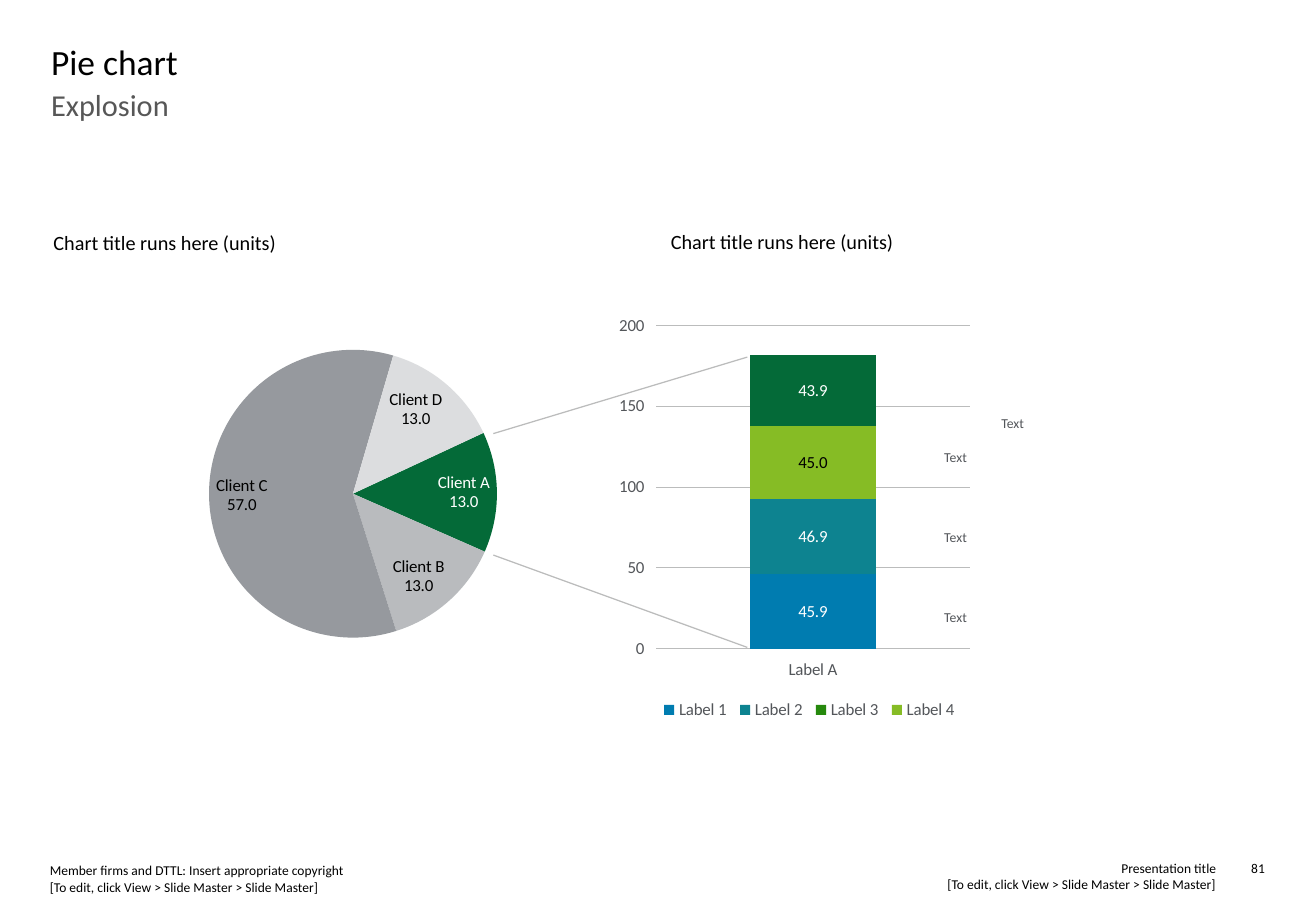
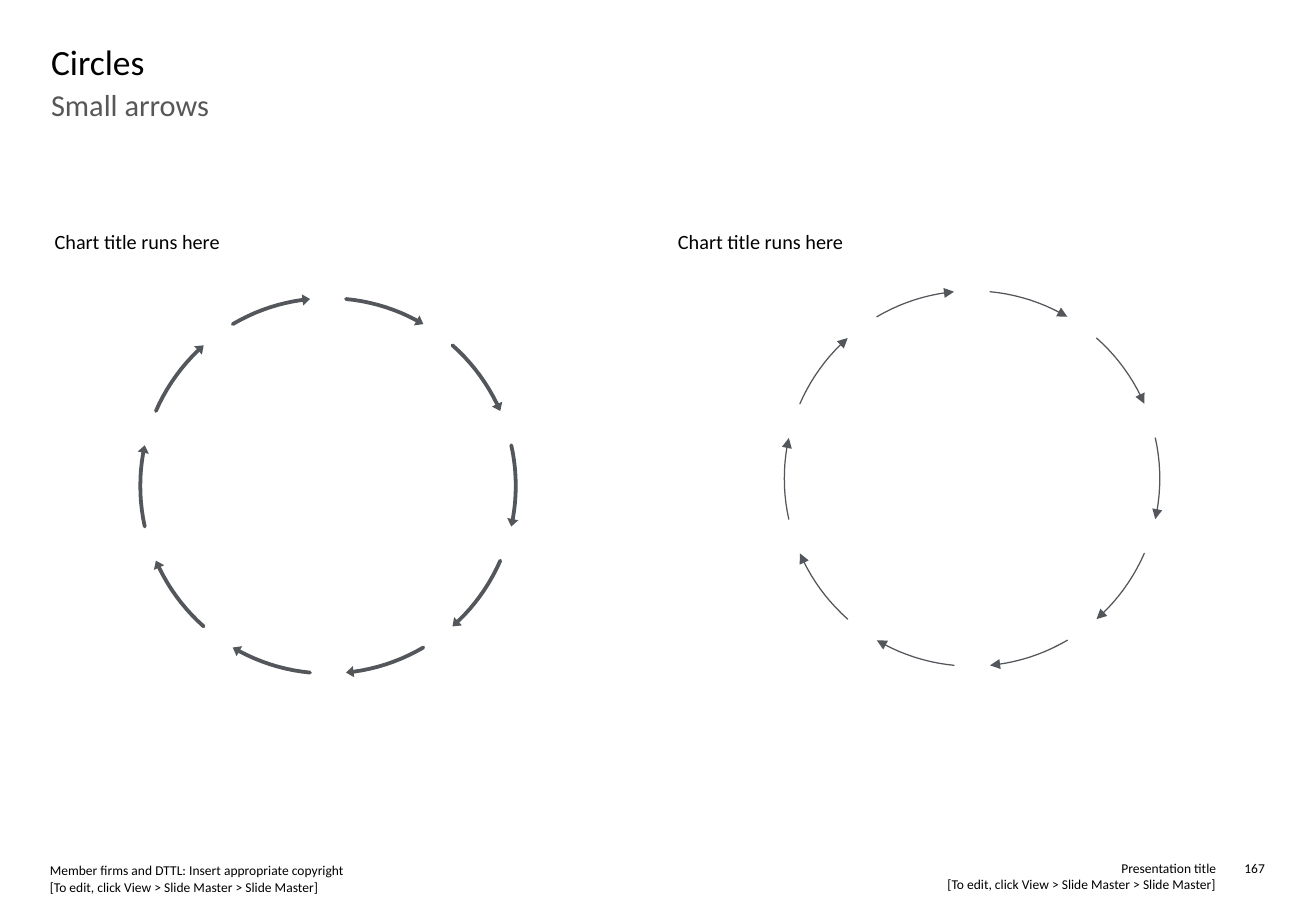
from math import cos, radians, sin

from lxml import etree
from pptx import Presentation
from pptx.chart.data import CategoryChartData
from pptx.dml.color import RGBColor
from pptx.enum.chart import XL_CHART_TYPE as ChartType, XL_LABEL_POSITION as LabelPos
from pptx.enum.chart import XL_LEGEND_POSITION as LegendPos, XL_TICK_MARK as Tick
from pptx.enum.chart import XL_TICK_LABEL_POSITION as TickLabelPos
from pptx.enum.shapes import MSO_CONNECTOR
from pptx.enum.text import MSO_ANCHOR as Anchor, MSO_AUTO_SIZE as AutoSize, PP_ALIGN as Align
from pptx.oxml.ns import qn
from pptx.util import Emu, Pt

PX = 9144  # EMU per px, 100 px to the inch
FONT = "Calibri"
NUMBER = "#,##0.0"
COLORS = {
    "black": "000000", "white": "FFFFFF", "subtitle": "575757",
    "slate": "53565A", "rule": "BBBCBC",
    "blue": "007CB0", "teal": "0D8390", "green": "26890D",
    "lime": "86BC25", "forest": "046A38",
    "gray_mid": "B9BBBE", "gray_dark": "96999E", "gray_light": "DCDDDF",
}

EDIT_HINT = "[To edit, click View > Slide Master > Slide Master]"
FOOTERS = [  # lines, box, alignment
    (["Presentation title", EDIT_HINT], (566, 708, 435, 27), Align.RIGHT),
    (["Member firms and DTTL: Insert appropriate copyright", EDIT_HINT],
     (41, 710, 476, 27), Align.LEFT),
]
NUMBER_BOX = (1004, 708, 37, 13)
TITLE_BOX = (42, 33, 1002, 38)
SUBTITLE_BOX = (42, 71, 1002, 83)

# Plot and legend boxes are measured from the corner of their chart.
PIE_BOX = (44, 259, 488, 342)
PIE_PLOT = (81, 29, 331, 237)
PIE_START = 65
PIE = [  # category, value, fill, label colour
    ("Client A", 13, "forest", "white"),
    ("Client B", 13, "gray_mid", "black"),
    ("Client C", 57, "gray_dark", "black"),
    ("Client D", 13, "gray_light", "black"),
]

STACK_BOX = (459, 252, 504, 359)
STACK_PLOT = (81, 16, 258, 266)
STACK_LEGEND = (81, 320, 252, 25)
STACK_CATEGORY = "Label A"
STACK = [  # series, value, legend colour, bar colour, label colour
    ("Label 1", 45.9, "blue", "blue", "white"),
    ("Label 2", 46.9, "teal", "teal", "white"),
    ("Label 3", 45, "green", "lime", "black"),
    ("Label 4", 43.9, "lime", "forest", "white"),
]
SIDE_LABELS = [(824, 341), (777, 369), (777, 435), (777, 501)]
EXPLOSION_LINES = [(406, 357, 615, 294), (406, 457, 615, 533)]

PIE_HEADINGS = [("Chart title runs here (units)", (552, 189, 488, 32)),
                ("Chart title runs here (units)", (44, 190, 288, 34))]
RING_HEADINGS = [("Chart title runs here", (558, 189, 356, 37)),
                 ("Chart title runs here", (45, 189, 483, 37))]
RINGS = [  # centre x, centre y, line width, arrowhead length
    (270, 400, 2.25, "sm"),
    (800, 394, 0.75, "med"),
]
RING_RADIUS = 154.5
RING_ARROWS = 10
ARROW_SWEEP = 25  # degrees
ARROW_STEPS = 10


def rgb(name):
    return RGBColor.from_string(COLORS[name])


def px(*values):
    return [Emu(v * PX) for v in values]


def style_font(font, size, color):
    font.name, font.size, font.bold = FONT, Pt(size), False
    font.color.rgb = rgb(color)


def style_line(line, color, width):
    line.color.rgb = rgb(color)
    line.width = Pt(width)


def fill_text(shape, text, size, color, align=Align.LEFT, anchor=Anchor.TOP):
    """Put one unspaced, inset-free paragraph into a shape."""
    tf = shape.text_frame
    tf.text = text
    tf.word_wrap = True
    tf.auto_size = AutoSize.NONE
    tf.vertical_anchor = anchor
    tf.margin_left = tf.margin_right = tf.margin_top = tf.margin_bottom = 0
    p = tf.paragraphs[0]
    p.alignment = align
    p.space_before = Pt(0)
    for r in p.runs:
        style_font(r.font, size, color)
    return p


def add_text(s, text, box, size, color, **options):
    fill_text(s.shapes.add_textbox(*px(*box)), text, size, color, **options)


def place(shape, box):
    shape.left, shape.top, shape.width, shape.height = px(*box)


def add_slide(prs, title, subtitle, number, headings):
    s = prs.slides.add_slide(prs.slide_layouts[1])
    for text, box, align in FOOTERS:
        add_text(s, "\v".join(text), box, 8, "black", align=align)
    add_text(s, number, NUMBER_BOX, 8, "black", align=Align.RIGHT)

    place(s.shapes.title, TITLE_BOX)
    fill_text(s.shapes.title, title, 21, "black")
    body = s.placeholders[1]
    place(body, SUBTITLE_BOX)
    pPr = fill_text(body, subtitle, 18, "subtitle")._p.get_or_add_pPr()
    pPr.set("marL", "0")
    pPr.set("indent", "0")
    etree.SubElement(pPr, qn("a:buNone"))

    for text, box in headings:
        add_text(s, text, box, 12, "black")
    return s


def set_layout(parent, index, box, chart_box, inner=False):
    """Fix the place of a plot area or legend within its chart."""
    for old in parent.findall(qn("c:layout")):
        parent.remove(old)
    layout = etree.Element(qn("c:layout"))
    manual = etree.SubElement(layout, qn("c:manualLayout"))
    width, height = chart_box[2:]
    values = [("layoutTarget", "inner")] if inner else []
    values += [("xMode", "edge"), ("yMode", "edge")]
    values += [(tag, v / full) for tag, v, full in zip("xywh", box, (width, height) * 2)]
    for tag, value in values:
        etree.SubElement(manual, qn(f"c:{tag}")).set("val", str(value))
    parent.insert(index, layout)


def add_chart(s, kind, box, plot_box, categories, series):
    data = CategoryChartData(number_format=NUMBER)
    data.categories = categories
    for name, values in series:
        data.add_series(name, values)
    chart = s.shapes.add_chart(kind, *px(*box), data).chart
    chart.has_title = chart.has_legend = False
    style_font(chart.font, 10, "slate")
    set_layout(chart._chartSpace.chart.plotArea, 0, plot_box, box, inner=True)
    return chart


def color_point(point, color):
    point.format.fill.solid()
    point.format.fill.fore_color.rgb = rgb(color)


def add_pie(s):
    names, values, fills, label_colors = zip(*PIE)
    chart = add_chart(s, ChartType.PIE, PIE_BOX, PIE_PLOT, names, [("Series 1", values)])
    plot = chart.plots[0]
    plot.vary_by_categories = True
    series = plot.series[0]
    labels = series.data_labels
    labels.show_value = labels.show_category_name = True
    labels.number_format, labels.number_format_is_linked = NUMBER, False
    labels.position = LabelPos.INSIDE_END
    style_font(labels.font, 10, "white")
    for i, (fill, label_color) in enumerate(zip(fills, label_colors)):
        color_point(series.points[i], fill)
        label = series.points[i].data_label
        style_font(label.font, 10, label_color)
        label.position = LabelPos.INSIDE_END

    ser = series._element
    for flag in ser.iter(qn("c:showCatName")):
        flag.set("val", "1")
    for flag in list(ser.iter(qn("c:showBubbleSize"))):
        separator = etree.Element(qn("c:separator"))
        separator.text = "\n"
        flag.addnext(separator)
    etree.SubElement(ser.getparent(), qn("c:firstSliceAng")).set("val", str(PIE_START))


def add_stack(s):
    chart = add_chart(s, ChartType.COLUMN_STACKED, STACK_BOX, STACK_PLOT,
                      [STACK_CATEGORY], [(row[0], [row[1]]) for row in STACK])
    plot = chart.plots[0]
    plot.vary_by_categories = False
    plot.gap_width, plot.overlap = 150, 100
    for series, (_, _, legend_color, bar_color, label_color) in zip(plot.series, STACK):
        color_point(series, legend_color)
        if bar_color != legend_color:
            color_point(series.points[0], bar_color)
        labels = series.data_labels
        labels.show_value = True
        labels.number_format, labels.number_format_is_linked = NUMBER, False
        labels.position = LabelPos.CENTER
        style_font(labels.font, 10, label_color)

    cat_axis, val_axis = chart.category_axis, chart.value_axis
    for axis in (cat_axis, val_axis):
        axis.tick_label_position = TickLabelPos.LOW
        style_font(axis.tick_labels.font, 10, "slate")
    cat_axis.major_tick_mark = Tick.NONE
    style_line(cat_axis.format.line, "rule", 0.5)
    val_axis.minimum_scale, val_axis.maximum_scale, val_axis.major_unit = 0, 200, 50
    val_axis.tick_labels.number_format = "General"
    val_axis.tick_labels.number_format_is_linked = False
    val_axis.format.line.fill.background()
    style_line(val_axis.major_gridlines.format.line, "rule", 0.5)

    chart.has_legend = True
    legend = chart.legend
    legend.position = LegendPos.BOTTOM
    legend.include_in_layout = False
    style_font(legend.font, 10, "slate")
    set_layout(legend._element, 1, STACK_LEGEND, STACK_BOX)


def add_rule(s, ends):
    line = s.shapes.add_connector(MSO_CONNECTOR.STRAIGHT, *px(*ends))
    style_line(line.line, "rule", 0.75)
    etree.SubElement(line._element.spPr, qn("a:effectLst"))


def add_ring(s, cx, cy, width, head_length):
    """Draw a clockwise circle of curved arrows, each boxed with the centre."""
    group = s.shapes.add_group_shape()
    for i in range(RING_ARROWS):
        start = (i + 0.5) * 360 / RING_ARROWS - 90 - ARROW_SWEEP / 2
        angles = [radians(start + k * ARROW_SWEEP / ARROW_STEPS)
                  for k in range(ARROW_STEPS + 1)]
        points = [px(cx + RING_RADIUS * cos(a), cy + RING_RADIUS * sin(a)) for a in angles]
        builder = group.shapes.build_freeform(*px(cx, cy))
        builder.move_to(*points[0])
        builder.add_line_segments(points[1:], close=False)
        arrow = builder.convert_to_shape()
        arrow.shadow.inherit = False
        arrow.fill.background()
        style_line(arrow.line, "slate", width)
        ln = arrow._element.spPr.find(qn("a:ln"))
        ln.set("cap", "rnd")
        etree.SubElement(ln, qn("a:round"))
        tail = etree.SubElement(ln, qn("a:tailEnd"))
        tail.set("type", "triangle")
        tail.set("len", head_length)


def main():
    prs = Presentation()
    prs.slide_width, prs.slide_height = px(1083, 750)

    s = add_slide(prs, "Pie chart", "Explosion", "81", PIE_HEADINGS)
    add_stack(s)
    add_pie(s)
    for x, y in SIDE_LABELS:
        add_text(s, "Text", (x, y, 138, 14), 8.1, "slate", anchor=Anchor.MIDDLE)
    for ends in EXPLOSION_LINES:
        add_rule(s, ends)

    s = add_slide(prs, "Circles", "Small arrows", "167", RING_HEADINGS)
    for ring in RINGS:
        add_ring(s, *ring)

    prs.save("out.pptx")


if __name__ == "__main__":
    main()
